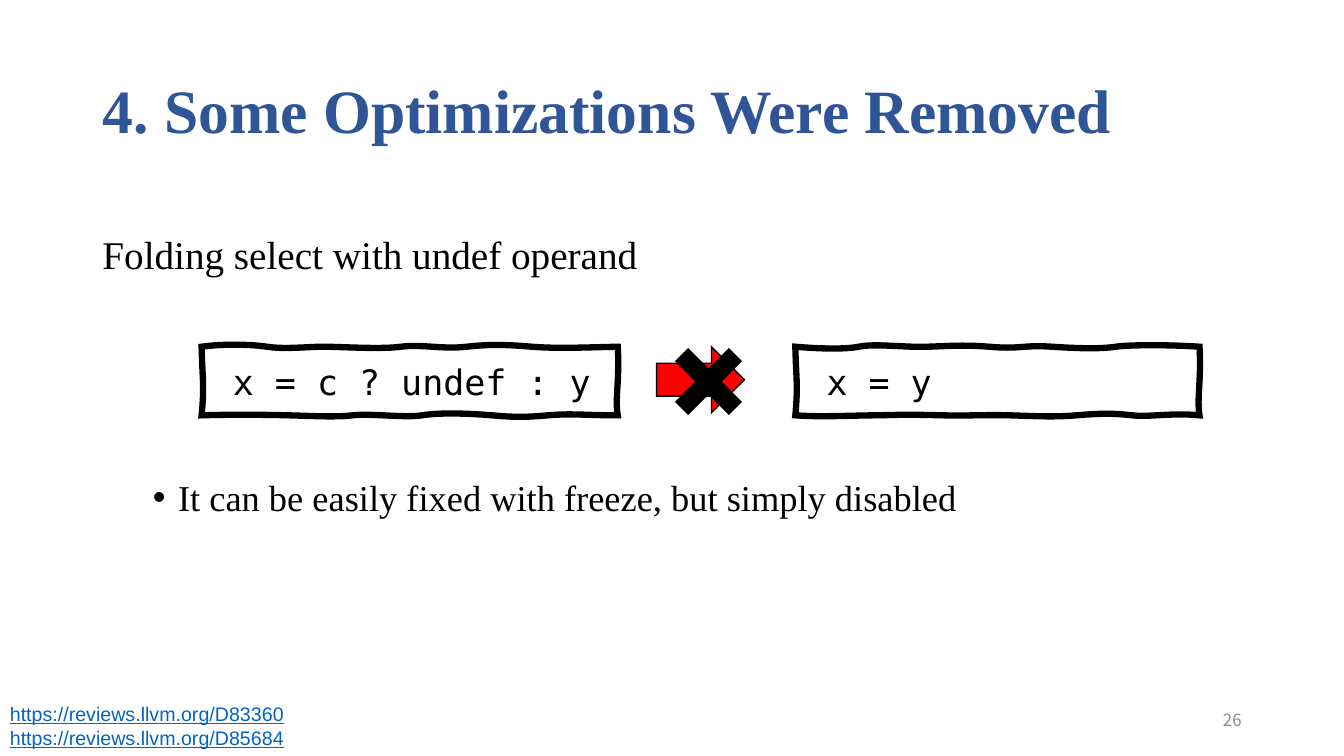
"""Builds the slide on removed optimizations."""
from dataclasses import dataclass

from pptx import Presentation
from pptx import util as u
from pptx.dml.color import RGBColor
from pptx.enum import shapes, text
from pptx.oxml.ns import qn
from lxml import etree


@dataclass(frozen=True)
class Theme:
    """Colours, fonts and type sizes of the deck."""
    title: str = "2F5597"
    ink: str = "000000"
    arrow: str = "FF0000"
    link: str = "0563C1"
    muted: str = "8C8C8C"
    serif: str = "Times New Roman"
    mono: str = "DejaVu Sans Mono"
    sans: str = "Arial"
    number: str = "Noto Sans CJK KR"
    title_size: float = 44
    lead_size: float = 28
    bullet_size: float = 26
    code_size: float = 25
    link_size: float = 14
    number_size: float = 12


T = Theme()
SLIDE = (0, 0, u.Inches(13.33), u.Inches(7.5))

RIGHT_EDGE = [(100.5, 49), (99.3, 75), (100, 100)]
LEFT_EDGE = [(0.7, 56), (0.2, 49), (0, 0)]
SELECT_TOP = [
    (4.6, -4), (11.4, -4), (15.7, 0), (20.1, 4), (25.2, 0), (29.3, 0),
    (33.7, 0), (43.1, 4), (47.9, 0), (53, -4), (57.6, 4), (63.7, 0),
    (69.7, -4), (73.4, -3), (79.4, 0), (85.5, 3), (92.3, 1), (100, 0)]
SELECT_BOTTOM = [
    (92, 100), (89, 97), (83.3, 100), (77.5, 103), (75.5, 103), (69.7, 100),
    (63.7, 97), (57.1, 96), (53, 100), (48.9, 104), (40.7, 97), (36.3, 100),
    (32.2, 103), (26.9, 101), (20.8, 100), (14.8, 99), (4.8, 99), (0, 100)]
FOLDED_TOP = [
    (6, 3), (12.2, 4), (15.7, 0), (19, -4), (23.7, -1), (29.2, 0),
    (34.9, 1), (40.1, -4), (47.9, 0), (55.9, 4), (56.1, -3), (63.6, 0),
    (71.1, 3), (75.8, 3), (79.3, 0), (82.8, -3), (92.8, -3), (100, 0)]
FOLDED_BOTTOM = [
    (93, 96), (87.8, 103), (83.3, 100), (78.6, 97), (75.8, 97), (69.6, 100),
    (63.6, 103), (58.9, 101), (52.9, 100), (46.9, 99), (43.1, 101), (36.2, 100),
    (29.4, 99), (26.9, 99), (20.7, 100), (14.2, 100), (6.7, 103), (0, 100)]


def part(box, x, y, w, h):
    """Return the part of a box given in percent of its size."""
    left, top, width, height = box
    return (round(left + width * x / 100), round(top + height * y / 100),
            round(width * w / 100), round(height * h / 100))


def place(sp, box):
    """Move a shape into a box."""
    sp.left, sp.top, sp.width, sp.height = box


def write(p, words, font, size, color, bold=False, underline=False,
          align=text.PP_ALIGN.LEFT, spacing=None, before=None):
    """Write one formatted run into a paragraph."""
    p.alignment, p.line_spacing = align, spacing
    if before is not None:
        p.space_before = u.Pt(before)
    r = p.add_run()
    r.text = words
    f = r.font
    f.name, f.size, f.bold, f.underline = font, u.Pt(size), bold, underline
    f.color.rgb = RGBColor.from_string(color)


def mark(p, char=None, margin=0, hang=0):
    """Set a paragraph's bullet and indent in inches."""
    pr = p._p.get_or_add_pPr()
    pr.set("marL", str(u.Inches(margin)))
    pr.set("indent", str(-u.Inches(hang)))
    if char:
        etree.SubElement(pr, qn("a:buChar")).set("char", char)
    else:
        etree.SubElement(pr, qn("a:buNone"))


def style(sp, fill=None, width=1):
    """Give a shape its fill and a mitred ink outline without a shadow."""
    sp.shadow.inherit = False
    if fill:
        sp.fill.solid()
        sp.fill.fore_color.rgb = RGBColor.from_string(fill)
    else:
        sp.fill.background()
    sp.line.color.rgb = RGBColor.from_string(T.ink)
    sp.line.width = u.Pt(width)
    ln = sp._element.spPr.find(qn("a:ln"))
    etree.SubElement(ln, qn("a:miter")).set("lim", "800000")


def curved_outline(s, box, knots):
    """Draw a closed chain of cubic curves: two handles and an end point each."""
    pen = s.shapes.build_freeform(box[0], box[1])
    pen.add_line_segments([part(box, x, y, 0, 0)[:2] for x, y in knots[2::3]])
    sp = pen.convert_to_shape()
    for i, segment in enumerate(list(sp._element.iter(qn("a:lnTo")))):
        segment.tag = qn("a:cubicBezTo")
        for k, (x, y) in enumerate(knots[3 * i:3 * i + 2]):
            pt = etree.Element(qn("a:pt"))
            pt.set("x", str(round(box[2] * x / 100)))
            pt.set("y", str(round(box[3] * y / 100)))
            segment.insert(k, pt)
    etree.SubElement(next(sp._element.iter(qn("a:path"))), qn("a:close"))
    return sp


def code_box(s, box, code, top, bottom):
    """Draw a hand-drawn frame holding one line of code."""
    sp = curved_outline(s, box, top + RIGHT_EDGE + bottom + LEFT_EDGE)
    style(sp, width=4.5)
    tf = sp.text_frame
    tf.word_wrap = True
    tf.vertical_anchor = text.MSO_ANCHOR.MIDDLE
    tf.margin_left = u.Inches(0.31)
    write(tf.paragraphs[0], code, T.mono, T.code_size, T.ink)


def title(s, box):
    """Fill the title placeholder."""
    sp = s.shapes.title
    place(sp, box)
    tf = sp.text_frame
    tf.auto_size = text.MSO_AUTO_SIZE.NONE
    tf.vertical_anchor = text.MSO_ANCHOR.MIDDLE
    write(tf.paragraphs[0], "4. Some Optimizations Were Removed", T.serif,
          T.title_size, T.title, bold=True, spacing=0.9)


def body(s, box):
    """Fill the body placeholder, leaving room for the code between its lines."""
    sp = s.placeholders[1]
    place(sp, box)
    tf = sp.text_frame
    tf.auto_size = text.MSO_AUTO_SIZE.NONE
    p = tf.paragraphs[0]
    write(p, "Folding select with undef operand", T.serif, T.lead_size, T.ink,
          spacing=1.5, before=10)
    mark(p)
    p = tf.add_paragraph()
    p.level = 1
    write(p, "It can be easily fixed with freeze, but simply disabled", T.serif,
          T.bullet_size, T.ink, spacing=1.5, before=125.5)
    mark(p, "\u2022", margin=0.75, hang=0.25)


def rewrite_rule(s, box):
    """Draw the code before and after, with a crossed-out arrow between."""
    code_box(s, part(box, 0, 0, 41.7, 100), "x = c ? undef : y", SELECT_TOP, SELECT_BOTTOM)
    code_box(s, part(box, 59.5, 0, 40.5, 100), "x = y", FOLDED_TOP, FOLDED_BOTTOM)
    arrow = s.shapes.add_shape(shapes.MSO_SHAPE.RIGHT_ARROW, *part(box, 45.6, 0, 8.8, 96))
    style(arrow, T.arrow)
    cross = s.shapes.add_shape(shapes.MSO_SHAPE.MATH_MULTIPLY,
                               *part(box, 45.7, -23.5, 10.2, 148.5))
    cross.adjustments[0] = 0.17
    style(cross, T.ink)


def text_box(s, box, lines, anchor=text.MSO_ANCHOR.TOP, **fmt):
    """Add a text box with one paragraph per line."""
    tf = s.shapes.add_textbox(*box).text_frame
    tf.word_wrap = True
    tf.vertical_anchor = anchor
    for i, line in enumerate(lines):
        write(tf.add_paragraph() if i else tf.paragraphs[0], line, **fmt)


def footer(s, box):
    """Add the review links and the slide number."""
    links = [f"https://reviews.llvm.org/{review}" for review in ("D83360", "D85684")]
    text_box(s, part(box, 0, 0, 22.4, 100), links, font=T.sans, size=T.link_size,
             color=T.link, underline=True)
    text_box(s, part(box, 70.62, 5, 22.5, 70), ["26"], text.MSO_ANCHOR.MIDDLE,
             font=T.number, size=T.number_size, color=T.muted, align=text.PP_ALIGN.RIGHT)


def main():
    """Build and save the slide."""
    prs = Presentation()
    prs.slide_width, prs.slide_height = SLIDE[2:]
    s = prs.slides.add_slide(prs.slide_layouts[1])
    title(s, part(SLIDE, 6.87, 5.33, 86.25, 19.33))
    body(s, part(SLIDE, 6.87, 26.67, 89.95, 61.2))
    rewrite_rule(s, part(SLIDE, 15, 45.87, 74.25, 9.07))
    footer(s, part(SLIDE, 0, 92.2, 100, 7.6))
    prs.save("out.pptx")


main()
